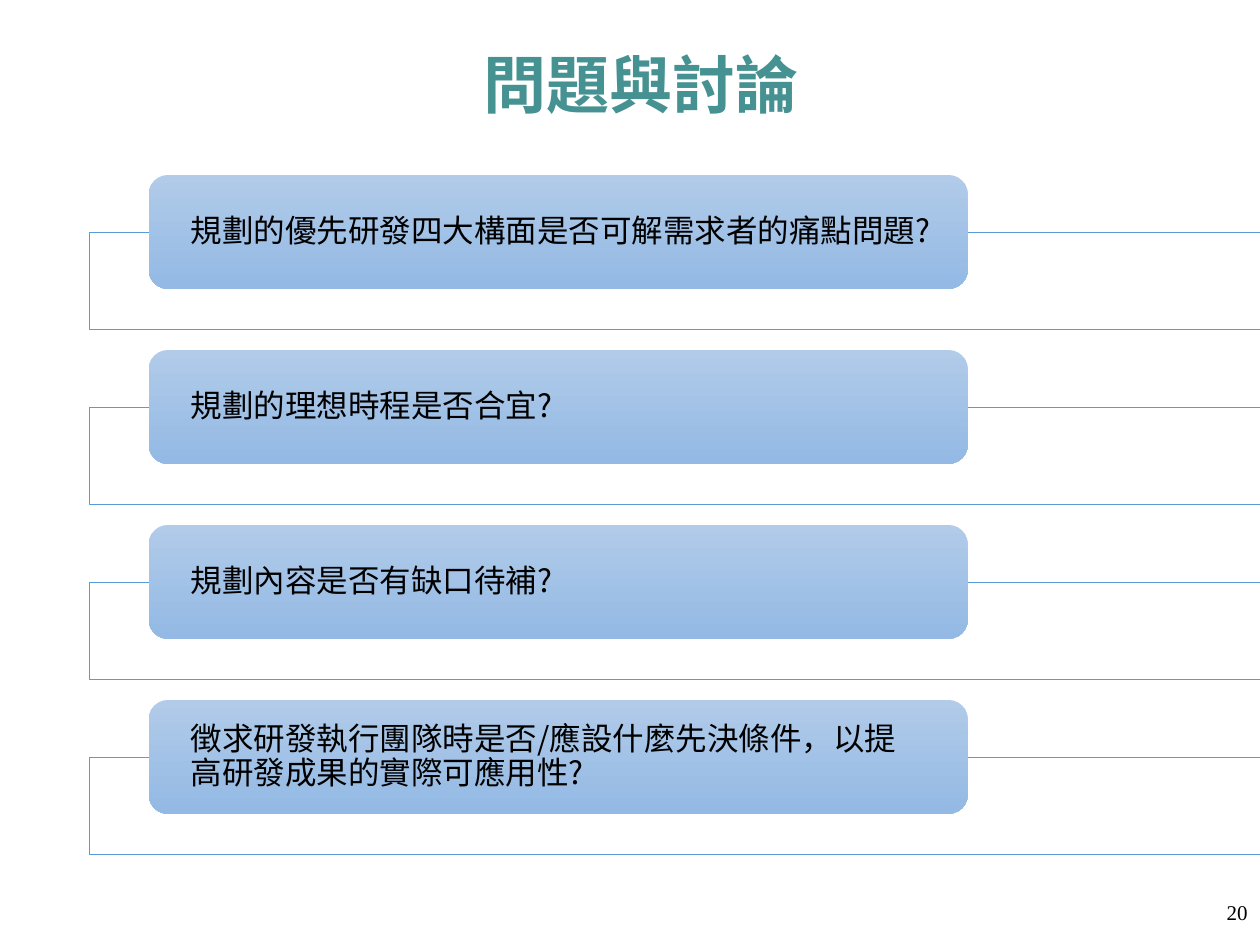
import pptx
import pptx.dml.color
import pptx.enum.shapes
import pptx.enum.text
import pptx.oxml.ns
import pptx.util
from lxml import etree

Pt = pptx.util.Pt
RGBColor = pptx.dml.color.RGBColor
MSO_SHAPE = pptx.enum.shapes.MSO_SHAPE
PP_ALIGN = pptx.enum.text.PP_ALIGN
MSO_ANCHOR = pptx.enum.text.MSO_ANCHOR
qn = pptx.oxml.ns.qn

WHITE = RGBColor(0xFF, 0xFF, 0xFF)
BLACK = RGBColor(0, 0, 0)
TEAL = RGBColor(0x46, 0x92, 0x92)
FRAME_BLUE = RGBColor(0x5B, 0x9B, 0xD5)
CARD_TOP = RGBColor(0xB1, 0xCB, 0xE9)
CARD_BOTTOM = RGBColor(0x93, 0xB9, 0xE4)

CJK_FONT = "Noto Sans CJK SC"
LATIN_FONT = "Times New Roman"

QUESTIONS = [
    "規劃的優先研發四大構面是否可解需求者的痛點問題?",
    "規劃的理想時程是否合宜?",
    "規劃內容是否有缺口待補?",
    "徴求研發執行團隊時是否/應設什麼先決條件，以提高研發成果的實際可應用性?",
]
FIRST_TOP = 100
ROW_STEP = 100


def write_text(shape, text, font_name, size, color, alignment,
               bold=False, line_spacing=1.0):
    text_frame = shape.text_frame
    text_frame.word_wrap = True
    text_frame.text = text
    paragraph = text_frame.paragraphs[0]
    paragraph.alignment = alignment
    paragraph.line_spacing = line_spacing
    run = paragraph.runs[0]
    run.font.name = font_name
    run.font.size = Pt(size)
    run.font.bold = bold
    run.font.color.rgb = color
    # East Asian characters take their own typeface
    east_asian = etree.SubElement(run.font._element, qn("a:ea"))
    east_asian.set("typeface", font_name)


def add_label(slide, left, top, width, height, anchor, *text_style, **options):
    shape = slide.shapes.add_textbox(Pt(left), Pt(top), Pt(width), Pt(height))
    shape.text_frame.vertical_anchor = anchor
    write_text(shape, *text_style, **options)


def add_frame(slide, top):
    # The frame runs just past the right edge, so its right side does not show
    shape = slide.shapes.add_shape(
        MSO_SHAPE.RECTANGLE, Pt(51), Pt(top), Pt(670), Pt(55.5))
    shape.shadow.inherit = False
    shape.fill.solid()
    shape.fill.fore_color.rgb = WHITE
    color = shape._element.spPr.find(qn("a:solidFill")).find(qn("a:srgbClr"))
    etree.SubElement(color, qn("a:alpha")).set("val", "90000")
    shape.line.color.rgb = FRAME_BLUE
    shape.line.width = Pt(0.5)


def add_question_card(slide, top, question):
    shape = slide.shapes.add_shape(
        MSO_SHAPE.ROUNDED_RECTANGLE, Pt(85), Pt(top), Pt(468), Pt(65))
    shape.shadow.inherit = False
    shape.line.fill.background()
    shape.fill.gradient()
    shape.fill.gradient_angle = 270
    for stop, color in zip(shape.fill.gradient_stops, (CARD_TOP, CARD_BOTTOM)):
        stop.color.rgb = color
    text_frame = shape.text_frame
    text_frame.margin_left, text_frame.margin_right = Pt(21), Pt(20)
    text_frame.margin_top = text_frame.margin_bottom = 0
    text_frame.vertical_anchor = MSO_ANCHOR.MIDDLE
    write_text(shape, question, CJK_FONT, 18, BLACK, PP_ALIGN.LEFT,
               line_spacing=0.9)


def main():
    presentation = pptx.Presentation()
    presentation.slide_width = Pt(720)
    presentation.slide_height = Pt(540)
    slide = presentation.slides.add_slide(presentation.slide_layouts[6])

    # Title
    add_label(slide, 41, 19, 651, 62.5, MSO_ANCHOR.MIDDLE, "問題與討論",
              CJK_FONT, 36, TEAL, PP_ALIGN.CENTER, bold=True, line_spacing=0.9)

    # One frame and card for each question
    for index, question in enumerate(QUESTIONS):
        top = FIRST_TOP + index * ROW_STEP
        add_frame(slide, top + 33)
        add_question_card(slide, top, question)

    # Page number
    add_label(slide, 558, 510.5, 162, 29, MSO_ANCHOR.TOP, "20",
              LATIN_FONT, 12, BLACK, PP_ALIGN.RIGHT)

    presentation.save("out.pptx")


if __name__ == "__main__":
    main()
